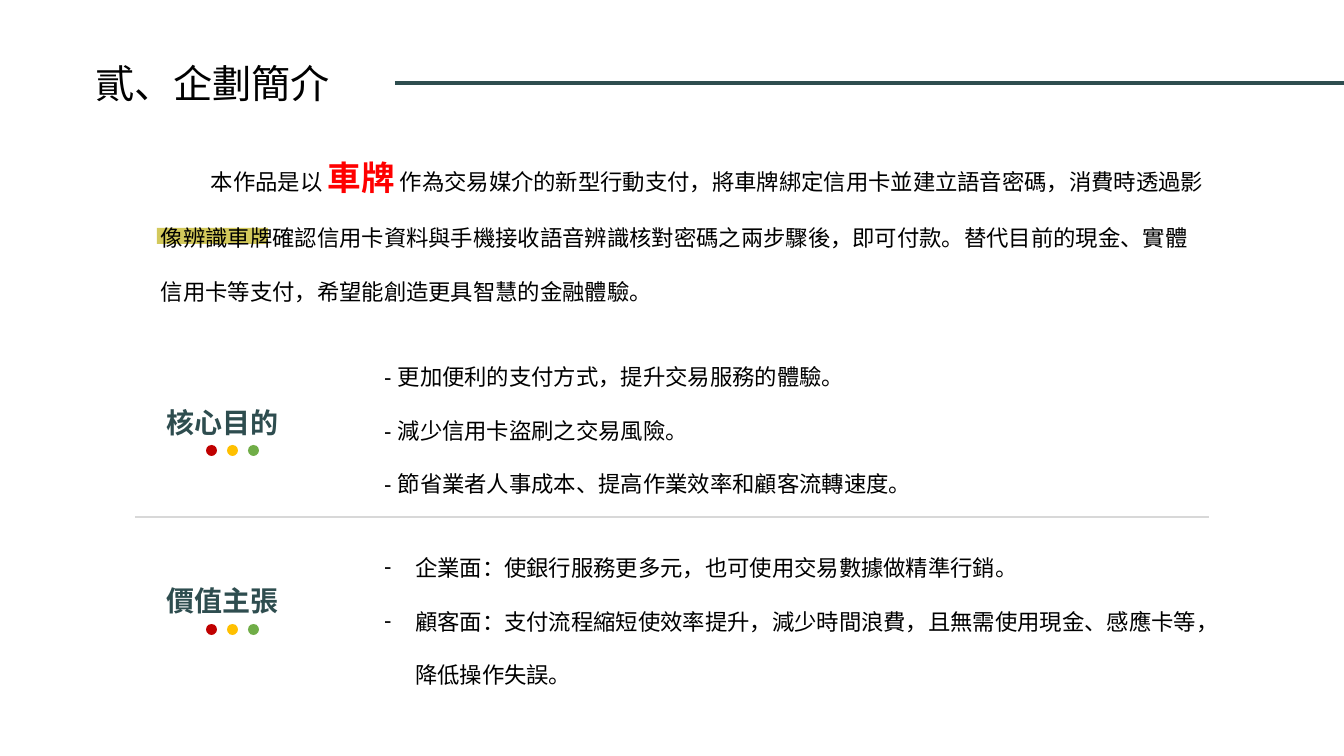
from dataclasses import dataclass

import pptx
import pptx.dml.color
import pptx.enum.shapes
import pptx.enum.text
import pptx.oxml.ns
import pptx.util
from lxml import etree

EMU_PER_PX = 914400 / 100.8


@dataclass(frozen=True)
class Theme:
    font: str = "Arial"
    ink: str = "000000"
    teal: str = "2E4D4F"
    alert: str = "FF0000"
    marker: str = "D3C95C"
    rule: str = "D8D8D8"
    dots: tuple[str, ...] = ("C00000", "FFC000", "70AD47")
    title_size: int = 28
    keyword_size: int = 24
    label_size: int = 20
    body_size: int = 16


THEME = Theme()


@dataclass(frozen=True)
class Box:
    left: int
    top: int
    width: int
    height: int


@dataclass(frozen=True)
class Run:
    text: str
    size: int = THEME.body_size
    color: str = THEME.ink
    bold: bool = False


@dataclass(frozen=True)
class Section:
    label: str
    label_top: int
    dots_top: int
    points: tuple[str, ...]
    points_box: Box
    bullet: str = ""
    hanging: int = 0


SECTIONS = (
    Section("核心目的", 367, 445,
            ("- 更加便利的支付方式，提升交易服務的體驗。",
             "- 減少信用卡盜刷之交易風險。",
             "- 節省業者人事成本、提高作業效率和顧客流轉速度。"),
            Box(374, 331, 671, 173)),
    Section("價值主張", 545, 624,
            ("企業面：使銀行服務更多元，也可使用交易數據做精準行銷。",
             "顧客面：支付流程縮短使效率提升，減少時間浪費，且無需使用現金、感應卡等，降低操作失誤。"),
            Box(374, 522, 865, 164), bullet="-", hanging=31),
)

INTRO = (
    Run("本作品是以 "),
    Run("車牌", THEME.keyword_size, THEME.alert, True),
    Run(" 作為交易媒介的新型行動支付，將車牌綁定信用卡並建立語音密碼，消費時透過影像辨識車牌"
        "確認信用卡資料與手機接收語音辨識核對密碼之兩步驟後，即可付款。替代目前的現金、實體"
        "信用卡等支付，希望能創造更具智慧的金融體驗。"),
)


def px(length: int) -> pptx.util.Emu:
    return pptx.util.Emu(round(length * EMU_PER_PX))


def rgb(color: str) -> pptx.dml.color.RGBColor:
    return pptx.dml.color.RGBColor.from_string(color)


def place(shape, box: Box) -> None:
    shape.left, shape.top = px(box.left), px(box.top)
    shape.width, shape.height = px(box.width), px(box.height)


def write(shape, paragraphs, *, line_spacing: float = 2.0, margin: int = 0,
          indent: int = 0, bullet: str = "") -> None:
    """Fill a shape with paragraphs, each a sequence of runs."""
    frame = shape.text_frame
    frame.word_wrap = True
    frame.auto_size = pptx.enum.text.MSO_AUTO_SIZE.NONE
    frame.vertical_anchor = pptx.enum.text.MSO_ANCHOR.TOP
    for index, runs in enumerate(paragraphs):
        paragraph = frame.add_paragraph() if index else frame.paragraphs[0]
        paragraph.alignment = pptx.enum.text.PP_ALIGN.LEFT
        paragraph.line_spacing = line_spacing
        paragraph.space_before = pptx.util.Pt(0)
        properties = paragraph._p.get_or_add_pPr()
        properties.set("marL", str(px(margin)))
        properties.set("indent", str(px(indent)))
        if bullet:
            etree.SubElement(properties, pptx.oxml.ns.qn("a:buFont"), typeface=THEME.font)
            etree.SubElement(properties, pptx.oxml.ns.qn("a:buChar"), char=bullet)
        else:
            etree.SubElement(properties, pptx.oxml.ns.qn("a:buNone"))
        for item in runs:
            run = paragraph.add_run()
            run.text = item.text
            run.font.name = THEME.font
            run.font.size = pptx.util.Pt(item.size)
            run.font.bold = item.bold
            run.font.color.rgb = rgb(item.color)


def add_text_box(slide, box: Box):
    return slide.shapes.add_textbox(px(box.left), px(box.top), px(box.width), px(box.height))


def add_filled(shapes, kind, box: Box, color: str) -> None:
    shape = shapes.add_shape(kind, px(box.left), px(box.top), px(box.width), px(box.height))
    shape.shadow.inherit = False
    shape.fill.solid()
    shape.fill.fore_color.rgb = rgb(color)
    shape.line.fill.background()


def add_rule(slide, left: int, right: int, y: int, color: str, weight: float) -> None:
    rule = slide.shapes.add_connector(
        pptx.enum.shapes.MSO_CONNECTOR.STRAIGHT, px(left), px(y), px(right), px(y))
    rule.line.color.rgb = rgb(color)
    rule.line.width = pptx.util.Pt(weight)
    etree.SubElement(rule._element.spPr, pptx.oxml.ns.qn("a:effectLst"))


def add_section(slide, section: Section, points_placeholder) -> None:
    place(points_placeholder, section.points_box)
    write(points_placeholder, [[Run(point)] for point in section.points],
          margin=section.hanging, indent=-section.hanging, bullet=section.bullet)
    label = add_text_box(slide, Box(157, section.label_top, 150, 68))
    write(label, [[Run(section.label, THEME.label_size, THEME.teal, True)]])
    dots = slide.shapes.add_group_shape()
    for index, color in enumerate(THEME.dots):
        add_filled(dots.shapes, pptx.enum.shapes.MSO_SHAPE.OVAL,
                   Box(206 + 21 * index, section.dots_top, 11, 11), color)


def main() -> None:
    deck = pptx.Presentation()
    deck.slide_width, deck.slide_height = px(1344), px(756)
    slide = deck.slides.add_slide(deck.slide_layouts.get_by_name("Two Content"))
    title, *lists = slide.placeholders

    place(title, Box(85, 54, 283, 57))
    write(title, [[Run("貳、企劃簡介", THEME.title_size)]], line_spacing=1.0)
    add_rule(slide, 395, 1344, 83, THEME.teal, 2.25)

    add_filled(slide.shapes, pptx.enum.shapes.MSO_SHAPE.RECTANGLE,
               Box(157, 228, 111, 16), THEME.marker)
    intro = add_text_box(slide, Box(151, 112, 1066, 201))
    write(intro, [INTRO], indent=50)

    for section, points_placeholder in zip(SECTIONS, lists):
        add_section(slide, section, points_placeholder)
    add_rule(slide, 135, 1209, 517, THEME.rule, 1.5)
    deck.save("out.pptx")


if __name__ == "__main__":
    main()
